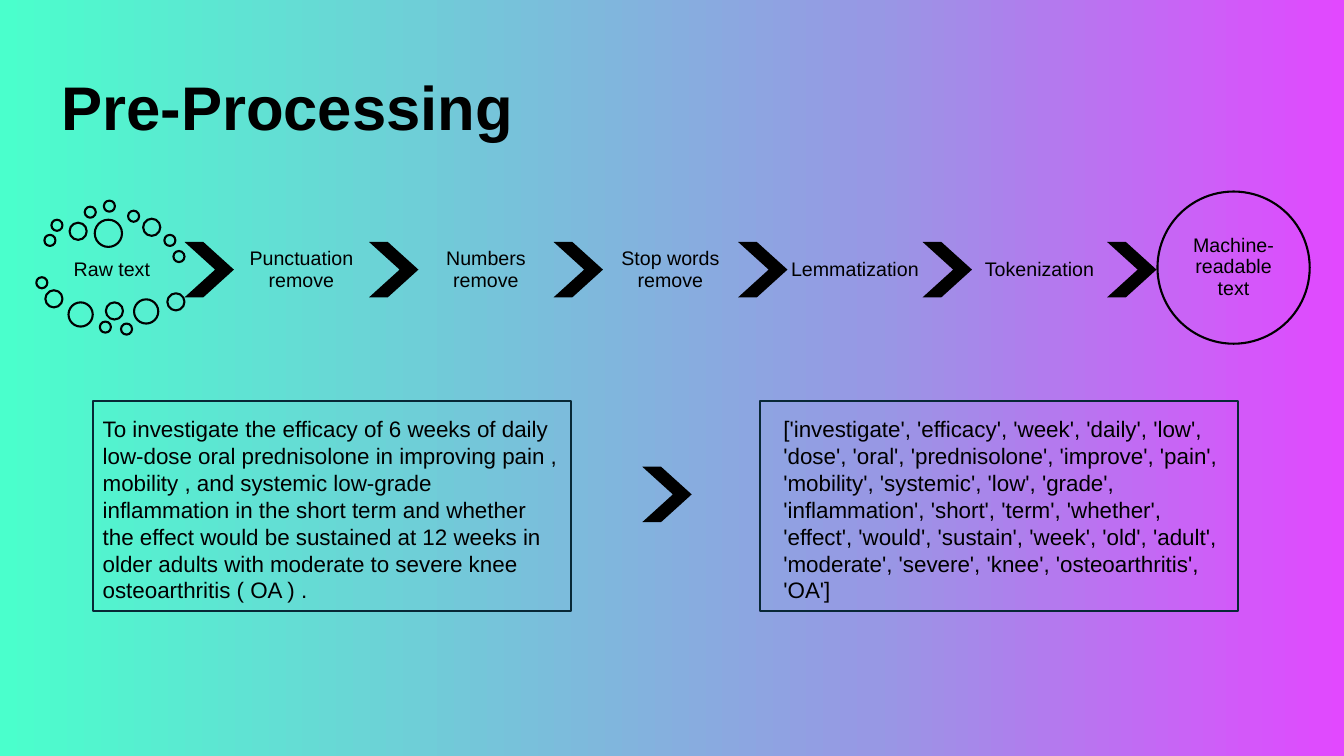
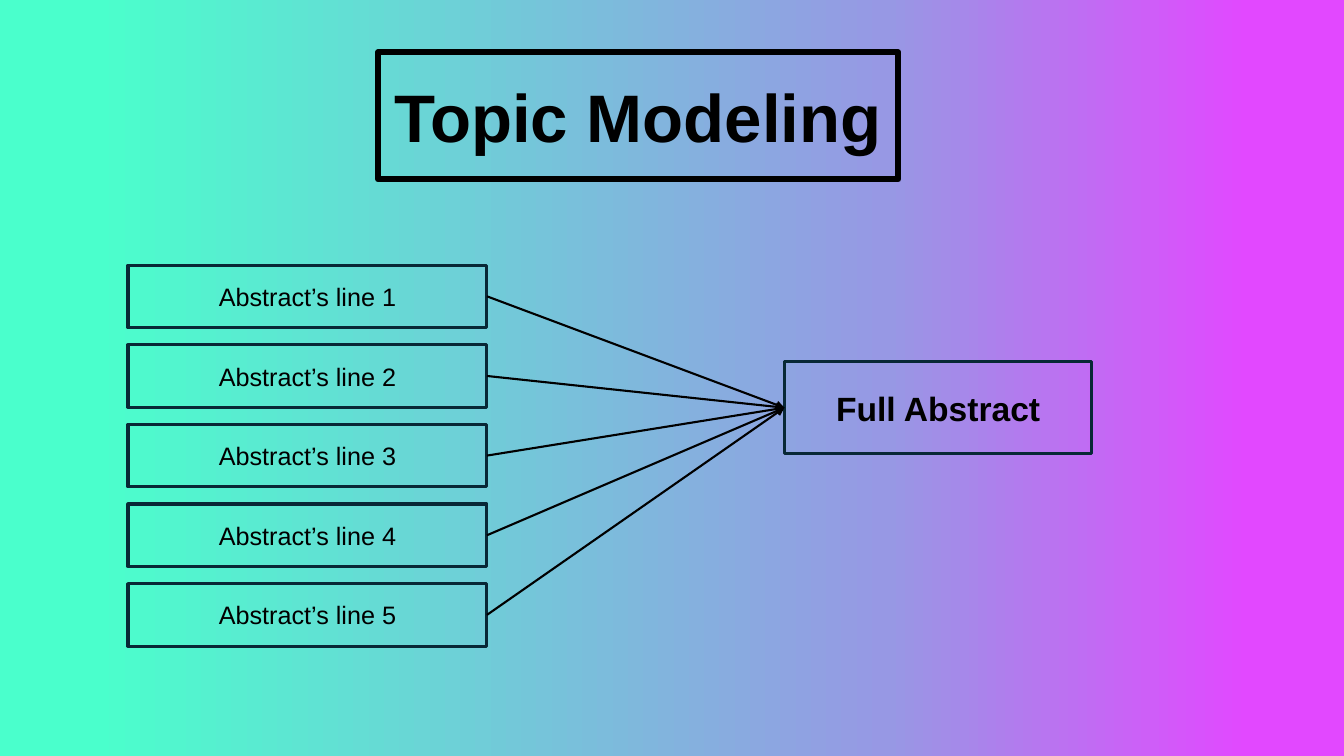
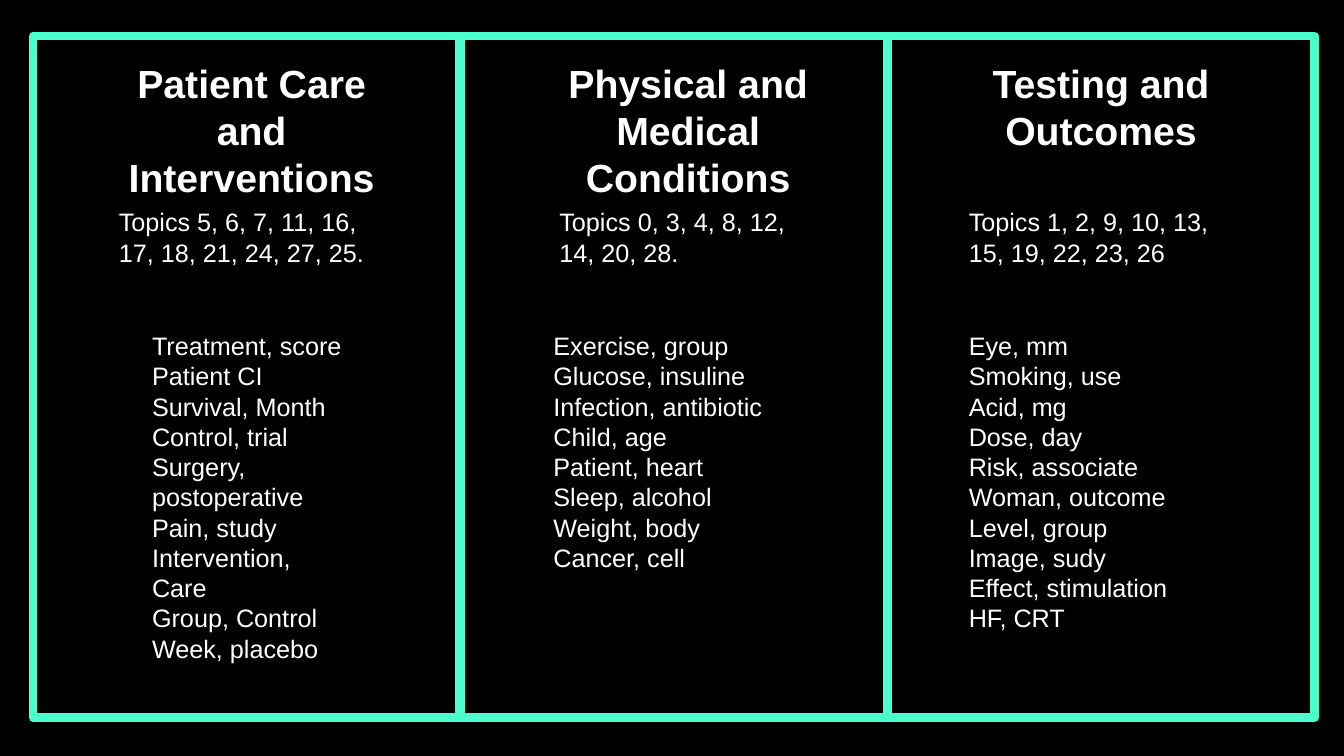
from dataclasses import dataclass

from lxml import etree
from pptx import Presentation
from pptx.dml.color import RGBColor
from pptx.enum.shapes import MSO_CONNECTOR, MSO_SHAPE
from pptx.enum.text import MSO_ANCHOR, MSO_AUTO_SIZE, PP_ALIGN
from pptx.oxml.ns import qn
from pptx.util import Inches, Pt

RECTANGLE = MSO_SHAPE.RECTANGLE
OVAL = MSO_SHAPE.OVAL
CHEVRON = MSO_SHAPE.CHEVRON
STRAIGHT = MSO_CONNECTOR.STRAIGHT
TOP, MIDDLE = MSO_ANCHOR.TOP, MSO_ANCHOR.MIDDLE
LEFT, CENTER = PP_ALIGN.LEFT, PP_ALIGN.CENTER
GROW = MSO_AUTO_SIZE.SHAPE_TO_FIT_TEXT
LEFT_SIDE, RIGHT_SIDE = 1, 3


@dataclass(frozen=True)
class Theme:
    font: str = "Arial"
    black: str = "000000"
    white: str = "FFFFFF"
    navy: str = "082836"
    mint: str = "4AFFCC"
    periwinkle: str = "9798E4"
    magenta: str = "E248FF"
    step: int = 14
    passage: int = 16
    body: int = 18
    result: int = 24
    heading: int = 28
    title: int = 44
    framed_title: int = 48
    thin: float = 1.5
    medium: float = 2.25
    thick: float = 4.25
    column: float = 6
    text_insets: tuple = (0.1, 0.05, 0.1, 0.05)
    step_insets: tuple = (0.02, 0.02, 0.02, 0.02)
    no_insets: tuple = (0, 0, 0, 0)


THEME = Theme()

PIPELINE_STEPS = ["Punctuation remove", "Numbers remove", "Stop words remove",
                  "Lemmatization", "Tokenization"]

BUBBLES = [
    (0.08, 0.34, 0.11), (0.15, 0.19, 0.11), (0.33, 0.22, 0.17),
    (0.48, 0.06, 0.11), (0.67, 0, 0.11), (0.91, 0.1, 0.11),
    (1.06, 0.18, 0.17), (1.27, 0.34, 0.11), (1.36, 0.5, 0.11),
    (0.58, 0.19, 0.27), (0, 0.76, 0.11), (0.09, 0.89, 0.17),
    (0.32, 1.01, 0.24), (0.63, 1.2, 0.11), (0.69, 1.01, 0.17),
    (0.84, 1.22, 0.11), (0.97, 0.98, 0.24), (1.3, 0.92, 0.17),
]

ABSTRACT = (
    "To investigate the efficacy of 6 weeks of daily low-dose oral prednisolone "
    "in improving pain , mobility , and systemic low-grade inflammation in the "
    "short term and whether the effect would be sustained at 12 weeks in older "
    "adults with moderate to severe knee osteoarthritis ( OA ) ."
)
TOKENS = (
    "['investigate', 'efficacy', 'week', 'daily', 'low', 'dose', 'oral', "
    "'prednisolone', 'improve', 'pain', 'mobility', 'systemic', 'low', 'grade', "
    "'inflammation', 'short', 'term', 'whether', 'effect', 'would', 'sustain', "
    "'week', 'old', 'adult', 'moderate', 'severe', 'knee', 'osteoarthritis', 'OA']"
)


@dataclass(frozen=True)
class TopicColumn:
    heading: str
    topics: str
    terms: list
    heading_span: tuple
    topics_span: tuple
    terms_span: tuple


TOPIC_COLUMNS = [
    TopicColumn(
        "Patient Care and Interventions",
        "Topics 5, 6, 7, 11, 16, 17, 18, 21, 24, 27, 25.",
        ["Treatment, score", "Patient CI", "Survival, Month", "Control, trial",
         "Surgery, postoperative", "Pain, study", "Intervention, Care",
         "Group, Control", "Week, placebo"],
        (0.64, 3.05), (0.75, 2.82), (1.08, 2.17)),
    TopicColumn(
        "Physical and Medical Conditions",
        "Topics 0, 3, 4, 8, 12, 14, 20, 28.",
        ["Exercise, group", "Glucose, insuline", "Infection, antibiotic",
         "Child, age", "Patient, heart", "Sleep, alcohol", "Weight, body",
         "Cancer, cell"],
        (0.41, 3.69), (0.88, 2.47), (0.82, 2.55)),
    TopicColumn(
        "Testing and Outcomes",
        "Topics 1, 2, 9, 10, 13, 15, 19, 22, 23, 26",
        ["Eye, mm", "Smoking, use", "Acid, mg", "Dose, day", "Risk, associate",
         "Woman, outcome", "Level, group", "Image, sudy",
         "Effect, stimulation", "HF, CRT"],
        (0.31, 3.6), (0.7, 2.82), (0.7, 2.41)),
]


def inches(box):
    return [Inches(length) for length in box]


def rgb(color):
    return RGBColor.from_string(color)


def write(shape, text, size, color=THEME.black, bold=False, align=LEFT,
          anchor=TOP, insets=THEME.text_insets, spacing=None):
    frame = shape.text_frame
    frame.text = text
    frame.word_wrap = True
    frame.vertical_anchor = anchor
    (frame.margin_left, frame.margin_top,
     frame.margin_right, frame.margin_bottom) = inches(insets)
    for paragraph in frame.paragraphs:
        paragraph.alignment = align
        if spacing:
            paragraph.line_spacing = spacing
        for run in paragraph.runs:
            run.font.name = THEME.font
            run.font.size = Pt(size)
            run.font.bold = bold
            run.font.color.rgb = rgb(color)


def add_text(slide, box, text, size, grow=True, **style):
    shape = slide.shapes.add_textbox(*inches(box))
    write(shape, text, size, **style)
    if grow:
        shape.text_frame.auto_size = GROW
    return shape


def add_outline(slide, kind, box, color, width):
    shape = slide.shapes.add_shape(kind, *inches(box))
    shape.shadow.inherit = False
    shape.fill.background()
    shape.line.color.rgb = rgb(color)
    shape.line.width = Pt(width)
    return shape


def add_chevron(slide, left, top):
    shape = slide.shapes.add_shape(CHEVRON, *inches((left, top, 0.49, 0.55)))
    shape.shadow.inherit = False
    shape.adjustments[0] = 0.62
    shape.fill.solid()
    shape.fill.fore_color.rgb = rgb(THEME.black)
    shape.line.fill.background()


def add_arrow(slide, source, target):
    connector = slide.shapes.add_connector(STRAIGHT, 0, 0, 0, 0)
    connector.begin_connect(source, RIGHT_SIDE)
    connector.end_connect(target, LEFT_SIDE)
    connector.line.color.rgb = rgb(THEME.black)
    connector.line.width = Pt(THEME.thin)
    properties = connector.element.spPr
    etree.SubElement(properties.find(qn("a:ln")), qn("a:tailEnd"), type="triangle")
    etree.SubElement(properties, qn("a:effectLst"))


def new_slide(presentation):
    return presentation.slides.add_slide(presentation.slide_layouts[6])


def set_gradient(slide, stops):
    fill = slide.background.fill
    fill.gradient()
    fill.gradient_angle = 0
    stop_list = next(slide.element.iter(qn("a:gsLst")))
    for stop in list(stop_list):
        stop_list.remove(stop)
    for percent, color in stops:
        stop = etree.SubElement(stop_list, qn("a:gs"), pos=str(percent * 1000))
        etree.SubElement(stop, qn("a:srgbClr"), val=color)


def add_raw_text(slide, left, top):
    style = dict(align=CENTER, anchor=MIDDLE, insets=THEME.step_insets, spacing=0.9)
    add_text(slide, (left + 0.08, top + 0.47, 1.34, 0.44), "Raw text",
             THEME.step, grow=False, **style)
    for x, y, diameter in BUBBLES:
        add_outline(slide, OVAL, (left + x, top + y, diameter, diameter),
                    THEME.black, THEME.thin)


def add_pipeline(slide, left, top):
    pitch = 1.83
    style = dict(align=CENTER, anchor=MIDDLE, spacing=0.9)
    add_raw_text(slide, left, top + 0.09)
    first = left + 1.47
    for index, step in enumerate(PIPELINE_STEPS):
        step_left = first + index * pitch
        add_chevron(slide, step_left, top + 0.5)
        add_text(slide, (step_left + 0.49, top + 0.31, 1.34, 0.94), step,
                 THEME.step, grow=False, insets=THEME.step_insets, **style)
    add_chevron(slide, first + len(PIPELINE_STEPS) * pitch, top + 0.5)
    goal = add_outline(slide, OVAL, (left + 11.12, top, 1.51, 1.51),
                       THEME.black, THEME.thin)
    write(goal, "Machine-readable text", THEME.step, insets=THEME.no_insets, **style)


def add_passage(slide, box, text, left_inset):
    panel = add_outline(slide, RECTANGLE, box, THEME.navy, THEME.thin)
    write(panel, text, THEME.passage, insets=(left_inset, 0.14, 0.1, 0.05))


def build_preprocessing(presentation):
    slide = new_slide(presentation)
    set_gradient(slide, [(0, THEME.mint), (65, THEME.periwinkle), (100, THEME.magenta)])
    add_text(slide, (0.51, 0.63, 4.98, 0.84), "Pre-Processing", THEME.title, bold=True)
    add_pipeline(slide, 0.36, 1.9)
    add_passage(slide, (0.92, 3.98, 4.74, 2.08), ABSTRACT, 0.1)
    add_chevron(slide, 6.37, 4.63)
    add_passage(slide, (7.54, 3.98, 4.74, 2.08), TOKENS, 0.23)


def add_framed_text(slide, box, text, size, color, width, bold=False):
    shape = add_outline(slide, RECTANGLE, box, color, width)
    write(shape, text, size, bold=bold, align=CENTER, anchor=MIDDLE)
    return shape


def add_merge_diagram(slide, left, top):
    pitch = 0.79
    lines = [
        add_framed_text(slide, (left, top + index * pitch, 3.56, 0.62),
                        f"Abstract’s line {index + 1}", THEME.body,
                        THEME.navy, THEME.medium)
        for index in range(5)
    ]
    result = add_framed_text(slide, (left + 6.51, top + 0.96, 3.05, 0.91),
                             "Full Abstract", THEME.result,
                             THEME.navy, THEME.medium, bold=True)
    for line in lines:
        add_arrow(slide, line, result)


def build_topic_modeling(presentation):
    slide = new_slide(presentation)
    set_gradient(slide, [(0, THEME.mint), (7, THEME.mint), (66, THEME.periwinkle),
                         (93, THEME.magenta), (100, THEME.magenta)])
    add_framed_text(slide, (3.75, 0.52, 5.16, 1.26), "Topic Modeling",
                    THEME.framed_title, THEME.black, THEME.thick, bold=True)
    add_merge_diagram(slide, 1.27, 2.63)


def add_topic_column(slide, box, column):
    left, top = box[:2]
    add_outline(slide, RECTANGLE, box, THEME.mint, THEME.column)
    offset, width = column.heading_span
    add_text(slide, (left + offset, top + 0.18, width, 1.04), column.heading,
             THEME.heading, color=THEME.white, bold=True, align=CENTER)
    offset, width = column.topics_span
    add_text(slide, (left + offset, top + 1.64, width, 0.71), column.topics,
             THEME.body, color=THEME.white)
    offset, width = column.terms_span
    add_text(slide, (left + offset, top + 2.87, width, 3.13),
             "\n".join(column.terms), THEME.body, color=THEME.white)


def build_topic_groups(presentation):
    slide = new_slide(presentation)
    slide.background.fill.solid()
    slide.background.fill.fore_color.rgb = rgb(THEME.black)
    for index, column in enumerate(TOPIC_COLUMNS):
        add_topic_column(slide, (0.33 + index * 4.24, 0.36, 4.23, 6.76), column)


def main():
    presentation = Presentation()
    presentation.slide_width = Inches(13.33)
    presentation.slide_height = Inches(7.5)
    build_preprocessing(presentation)
    build_topic_modeling(presentation)
    build_topic_groups(presentation)
    presentation.save("out.pptx")


if __name__ == "__main__":
    main()
